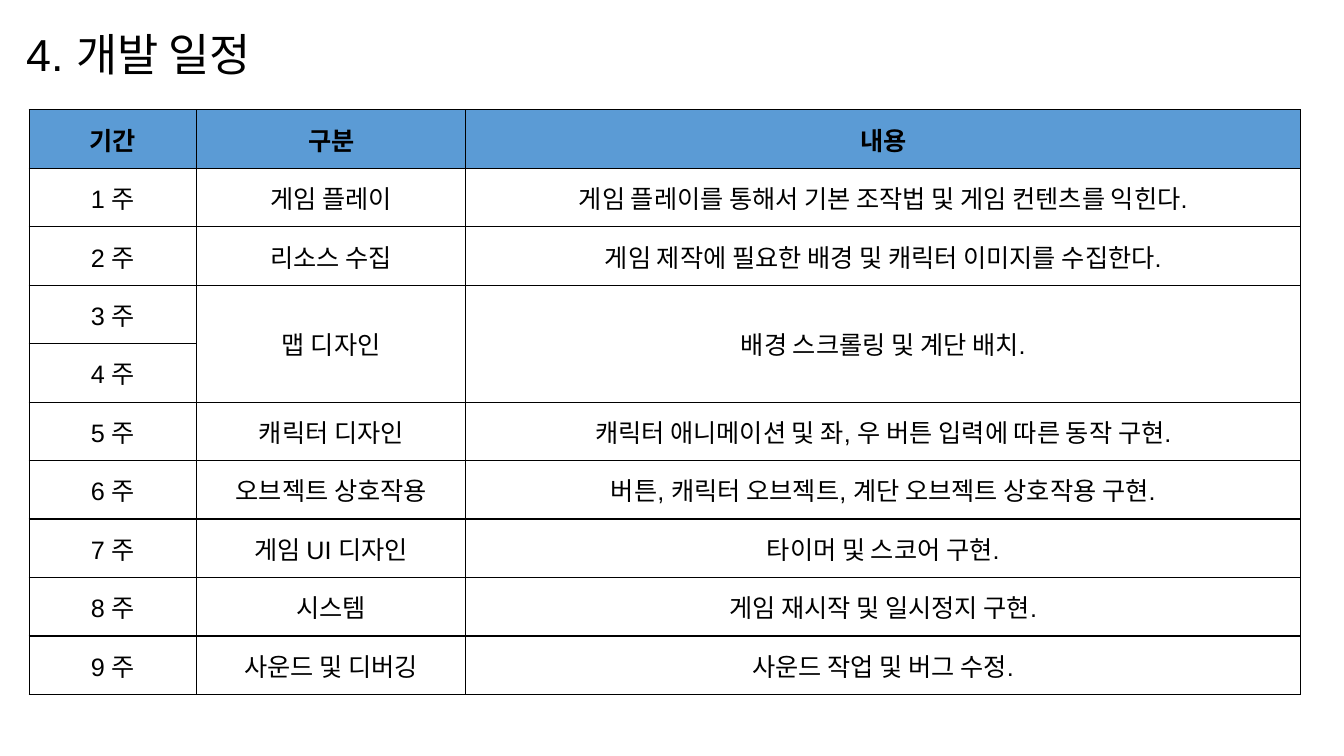
from lxml.etree import SubElement
from pptx import Presentation
from pptx.dml.color import RGBColor
from pptx.enum.text import MSO_ANCHOR, MSO_AUTO_SIZE, PP_ALIGN
from pptx.oxml.ns import qn
from pptx.util import Inches, Pt

TITLE = "4. 개발 일정"
HEADER = ("기간", "구분", "내용")
SCHEDULE = [
    (["1 주"], "게임 플레이", "게임 플레이를 통해서 기본 조작법 및 게임 컨텐츠를 익힌다."),
    (["2 주"], "리소스 수집", "게임 제작에 필요한 배경 및 캐릭터 이미지를 수집한다."),
    (["3 주", "4 주"], "맵 디자인", "배경 스크롤링 및 계단 배치."),
    (["5 주"], "캐릭터 디자인", "캐릭터 애니메이션 및 좌, 우 버튼 입력에 따른 동작 구현."),
    (["6 주"], "오브젝트 상호작용", "버튼, 캐릭터 오브젝트, 계단 오브젝트 상호작용 구현."),
    (["7 주"], "게임 UI 디자인", "타이머 및 스코어 구현."),
    (["8 주"], "시스템", "게임 재시작 및 일시정지 구현."),
    (["9 주"], "사운드 및 디버깅", "사운드 작업 및 버그 수정."),
]
COLUMN_WIDTHS = (1.66, 2.67, 8.28)
ROW_HEIGHT = 0.58
BLACK = RGBColor(0x00, 0x00, 0x00)
WHITE = RGBColor(0xFF, 0xFF, 0xFF)
BLUE = RGBColor(0x5B, 0x9B, 0xD5)
TITLE_FRAME = {
    "vertical_anchor": MSO_ANCHOR.MIDDLE,
    "auto_size": MSO_AUTO_SIZE.NONE,
    "word_wrap": True,
}
TITLE_FONT = {"name": "Arial", "size": Pt(32), "bold": False}
HEADER_FONT = {"name": "Arial", "size": Pt(18), "bold": True}
BODY_FONT = {**HEADER_FONT, "bold": False}


def set_attributes(target, values):
    """Set each named attribute of the target."""
    for name, value in values.items():
        setattr(target, name, value)


def write_paragraph(paragraph, text, font, alignment):
    """Write one formatted run of black text."""
    paragraph.alignment = alignment
    run = paragraph.add_run()
    run.text = text
    set_attributes(run.font, font)
    run.font.color.rgb = BLACK


def add_title(slide):
    """Place and fill the title placeholder."""
    title = slide.shapes.title
    box = {"left": 0.16, "top": 0.17, "width": 3.62, "height": 0.79}
    set_attributes(title, {name: Inches(value) for name, value in box.items()})
    set_attributes(title.text_frame, TITLE_FRAME)
    paragraph = title.text_frame.paragraphs[0]
    paragraph.line_spacing = 0.9
    write_paragraph(paragraph, TITLE, TITLE_FONT, PP_ALIGN.LEFT)


def format_cell(cell, fill_color):
    """Give a cell thin black borders, a fill and middle anchoring."""
    properties = cell._tc.get_or_add_tcPr()
    for side in ("a:lnL", "a:lnR", "a:lnT", "a:lnB"):
        line = SubElement(properties, qn(side), w=str(Pt(1)))
        fill = SubElement(line, qn("a:solidFill"))
        SubElement(fill, qn("a:srgbClr"), val=str(BLACK))
    cell.fill.solid()
    cell.fill.fore_color.rgb = fill_color
    cell.vertical_anchor = MSO_ANCHOR.MIDDLE


def add_schedule(slide):
    """Build the table, merging tasks that last several weeks."""
    row_count = 1 + sum(len(weeks) for weeks, _, _ in SCHEDULE)
    table = slide.shapes.add_table(
        row_count, len(HEADER), Inches(0.29), Inches(1.09),
        Inches(sum(COLUMN_WIDTHS)), Inches(row_count * ROW_HEIGHT),
    ).table
    for column, width in zip(table.columns, COLUMN_WIDTHS):
        column.width = Inches(width)
    for row_index, row in enumerate(table.rows):
        row.height = Inches(ROW_HEIGHT)
        for cell in row.cells:
            format_cell(cell, WHITE if row_index else BLUE)

    def write_cell(row, column, text, font=BODY_FONT):
        """Write centred text into one cell."""
        paragraph = table.cell(row, column).text_frame.paragraphs[0]
        write_paragraph(paragraph, text, font, PP_ALIGN.CENTER)

    for column, text in enumerate(HEADER):
        write_cell(0, column, text, HEADER_FONT)
    first_row = 1
    for weeks, *details in SCHEDULE:
        last_row = first_row + len(weeks) - 1
        for offset, week in enumerate(weeks):
            write_cell(first_row + offset, 0, week)
        for column, text in enumerate(details, start=1):
            if last_row > first_row:
                table.cell(first_row, column).merge(table.cell(last_row, column))
            write_cell(first_row, column, text)
        first_row = last_row + 1


def main():
    """Build the development schedule slide."""
    presentation = Presentation()
    presentation.slide_width = Inches(13.33)
    presentation.slide_height = Inches(7.5)
    slide = presentation.slides.add_slide(presentation.slide_layouts[5])
    add_title(slide)
    add_schedule(slide)
    presentation.save("out.pptx")


if __name__ == "__main__":
    main()
